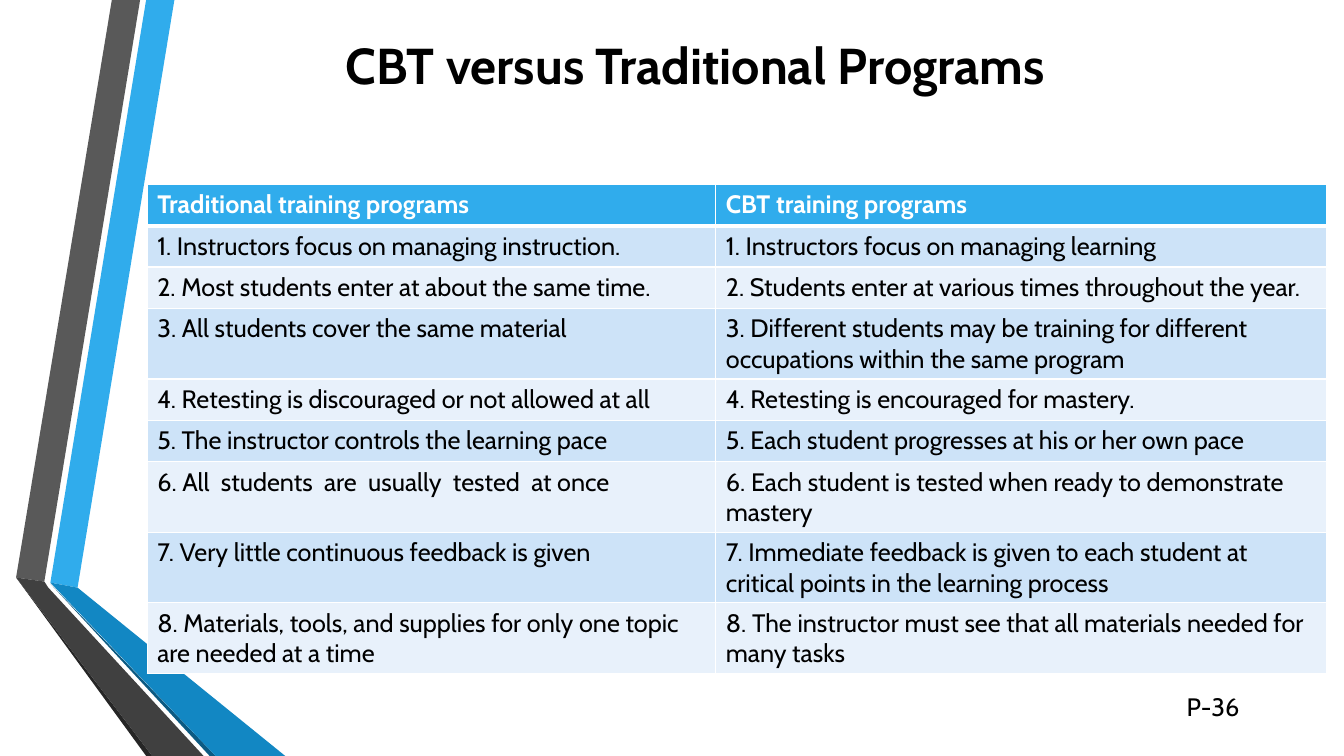
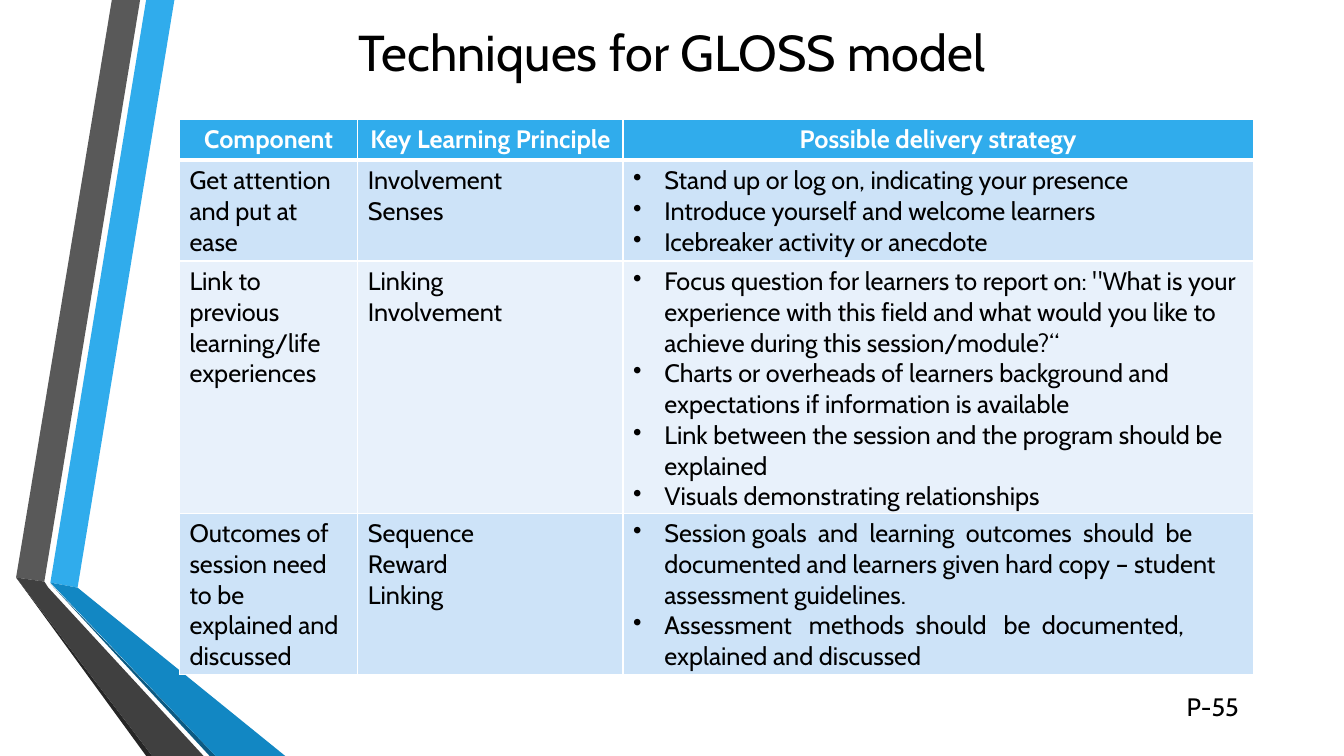
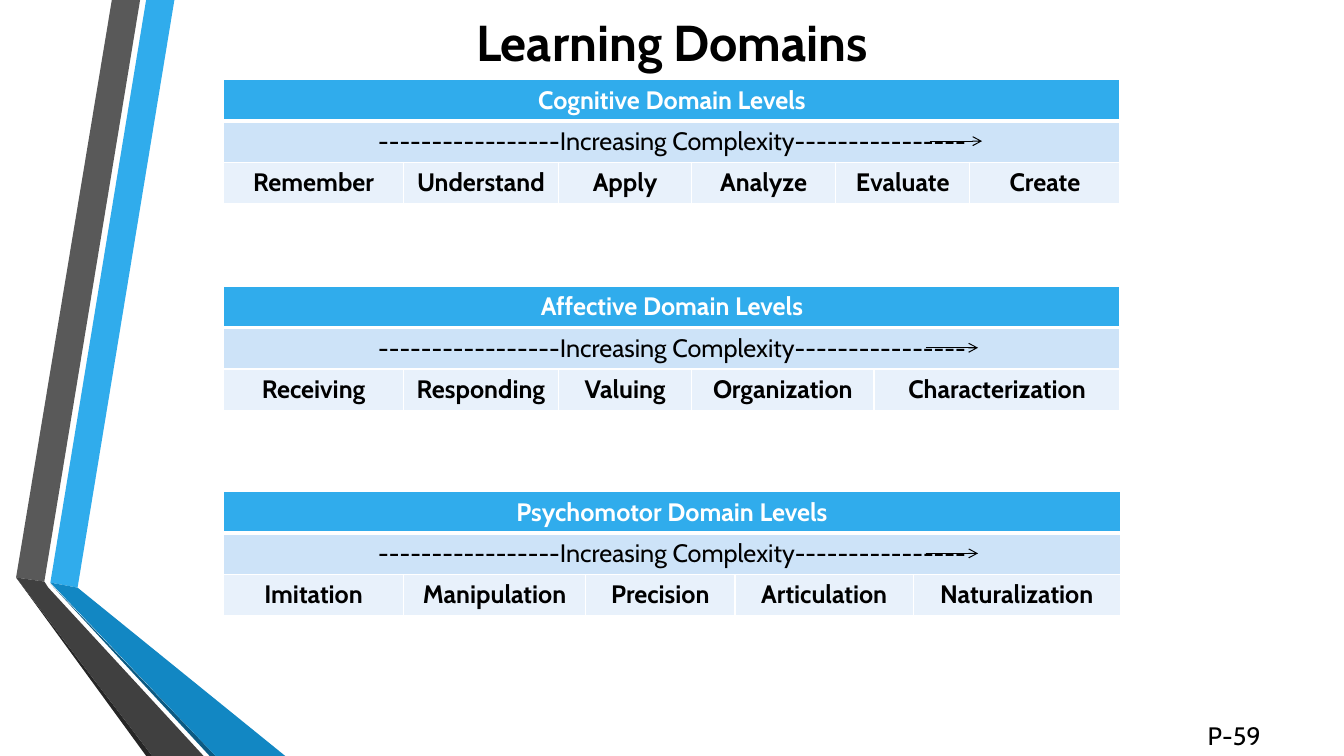
from dataclasses import dataclass

import lxml.etree
import pptx
import pptx.dml.color
import pptx.enum.shapes
import pptx.enum.text
import pptx.oxml.ns
import pptx.presentation
import pptx.shapes.base
import pptx.slide
import pptx.table
import pptx.text.text
import pptx.util

PX = 9144  # EMU in one px, 100 px to the inch
FONT = "Cabin"
ROW_HEIGHT = 41
BULLET_INDENT = 31
COLORS = {
    "black": "000000",
    "white": "FFFFFF",
    "blue": "30ACEC",
    "blue_dark": "1287C3",
    "blue_edge": "0C5A82",
    "grey": "595959",
    "grey_dark": "404040",
    "grey_edge": "262626",
    "row_odd": "CDE3F8",
    "row_even": "E8F1FB",
}
LEFT = pptx.enum.text.PP_ALIGN.LEFT
CENTER = pptx.enum.text.PP_ALIGN.CENTER


@dataclass(frozen=True)
class Band:
    color: str
    points: tuple[tuple[int, int], ...]


@dataclass(frozen=True)
class Page:
    title: str
    title_at: tuple[int, int]
    label: str
    label_at: tuple[int, int] = (1167, 681)
    bold: bool = True


@dataclass(frozen=True)
class Grid:
    """A row with one text spans all columns; a line break starts a paragraph."""

    left: int
    top: int
    widths: tuple[int, ...]
    rows: tuple[tuple[str, ...], ...]
    centered_rows: tuple[int, ...] = ()
    bold_rows: tuple[int, ...] = (0,)
    bullet_column: int | None = None


@dataclass(frozen=True)
class Domain:
    name: str
    top: int
    widths: tuple[int, ...]
    levels: tuple[str, ...]
    arrow_left: int = 918


BANDS = (
    Band("blue", ((50, 578), (77, 583), (173, 0), (145, 0))),
    Band("grey", ((139, 0), (111, 0), (16, 573), (44, 577))),
    Band("grey_edge", ((16, 573), (145, 750), (151, 750))),
    Band("blue_edge", ((50, 579), (208, 750), (214, 750))),
    Band("blue_dark", ((50, 578), (214, 750), (283, 750), (77, 583))),
    Band("grey_dark", ((16, 573), (151, 750), (202, 750), (48, 583), (44, 577))),
)

PROGRAMS = Grid(
    146, 183, (564, 606),
    (
        ("Traditional training programs", "CBT training programs"),
        ("1. Instructors focus on managing instruction.",
         "1. Instructors focus on managing learning"),
        ("2. Most students enter at about the same time.",
         "2. Students enter at various times throughout the year."),
        ("3. All students cover the same material",
         "3. Different students may be training for different occupations "
         "within the same program"),
        ("4. Retesting is discouraged or not allowed at all",
         "4. Retesting is encouraged for mastery."),
        ("5. The instructor controls the learning pace",
         "5. Each student progresses at his or her own pace"),
        ("6. All  students  are  usually  tested  at once",
         "6. Each student is tested when ready to demonstrate mastery"),
        ("7. Very little continuous feedback is given",
         "7. Immediate feedback is given to each student at critical points "
         "in the learning process"),
        ("8. Materials, tools, and supplies for only one topic are needed at a time",
         "8. The instructor must see that all materials needed for many tasks"),
    ),
)

GLOSS = Grid(
    178, 118, (177, 263, 625),
    (
        ("Component", "Key Learning Principle", "Possible delivery strategy"),
        ("Get attention and put at ease",
         "Involvement\nSenses",
         "Stand up or log on, indicating your presence\n"
         "Introduce yourself and welcome learners\n"
         "Icebreaker activity or anecdote"),
        ("Link to previous learning/life experiences",
         "Linking\nInvolvement",
         "Focus question for learners to report on: \"What is your experience with "
         "this field and what would you like to achieve during this session/module?“\n"
         "Charts or overheads of learners background and expectations "
         "if information is available\n"
         "Link between the session and the program should be explained\n"
         "Visuals demonstrating relationships"),
        ("Outcomes of session need to be explained and discussed",
         "Sequence\nReward\nLinking",
         "Session goals  and  learning  outcomes  should  be documented and "
         "learners given hard copy – student assessment guidelines.\n"
         "Assessment   methods  should   be  documented, explained and discussed"),
    ),
    centered_rows=(0,),
    bullet_column=2,
)

COMPLEXITY = "-" * 17 + "Increasing Complexity" + "-" * 16
DOMAINS = (
    Domain("Cognitive", 79, (178, 154, 132, 143, 133, 149),
           ("Remember", "Understand", "Apply", "Analyze", "Evaluate", "Create"), 922),
    Domain("Affective", 284, (178, 154, 132, 181, 244),
           ("Receiving", "Responding", "Valuing", "Organization", "Characterization")),
    Domain("Psychomotor", 488, (178, 181, 148, 177, 205),
           ("Imitation", "Manipulation", "Precision", "Articulation", "Naturalization")),
)


def px(length: int) -> pptx.util.Emu:
    return pptx.util.Emu(length * PX)


def rgb(color: str) -> pptx.dml.color.RGBColor:
    return pptx.dml.color.RGBColor.from_string(COLORS[color])


def add_xml(parent: lxml.etree.ElementBase, tag: str, **attributes: str) -> lxml.etree.ElementBase:
    return lxml.etree.SubElement(parent, pptx.oxml.ns.qn(tag), attributes)


def place(box: pptx.shapes.base.BaseShape, left: int, top: int, width: int, height: int) -> None:
    box.left, box.top, box.width, box.height = map(px, (left, top, width, height))


def write(paragraph: pptx.text.text._Paragraph, words: str, size: int = 18,
          color: str = "black", bold: bool = False) -> None:
    run = paragraph.add_run()
    run.text = words
    run.font.name = FONT
    run.font.size = pptx.util.Pt(size)
    run.font.bold = bold
    run.font.color.rgb = rgb(color)


def draw_bands(slide: pptx.slide.Slide, layout: pptx.slide.SlideLayout) -> None:
    """Draw the folded bands and move them to the layout that all slides share."""
    for number, band in enumerate(BANDS, start=100):
        outline = slide.shapes.build_freeform(*band.points[0], scale=PX)
        outline.add_line_segments(band.points[1:], close=True)
        stripe = outline.convert_to_shape()
        stripe.shadow.inherit = False
        stripe.fill.solid()
        stripe.fill.fore_color.rgb = rgb(band.color)
        stripe.line.fill.background()
        stripe.element.nvSpPr.cNvPr.set("id", str(number))
        layout.shapes.element.append(stripe.element)


def add_page(deck: pptx.presentation.Presentation, page: Page) -> pptx.slide.Slide:
    slide = deck.slides.add_slide(deck.slide_layouts[5])

    # Title
    title = slide.shapes.title
    place(title, *page.title_at, 1155, 61)
    heading = title.text_frame
    heading.auto_size = pptx.enum.text.MSO_AUTO_SIZE.NONE
    heading.vertical_anchor = pptx.enum.text.MSO_ANCHOR.MIDDLE
    heading.paragraphs[0].alignment = CENTER
    write(heading.paragraphs[0], page.title, size=36, bold=page.bold)

    # Page label
    label = slide.shapes.add_textbox(*map(px, (*page.label_at, 113, 40))).text_frame
    label.word_wrap = True
    write(label.paragraphs[0], page.label)
    return slide


def set_borders(cell: pptx.table._Cell, row: int) -> None:
    """White rules, with a heavier one under the header row."""
    properties = cell._tc.get_or_add_tcPr()
    weights = {"L": 1, "R": 1, "T": 3 if row == 1 else 1, "B": 3 if row == 0 else 1}
    for side, weight in weights.items():
        rule = add_xml(properties, f"a:ln{side}", w=str(pptx.util.Pt(weight)))
        add_xml(add_xml(rule, "a:solidFill"), "a:srgbClr", val=COLORS["white"])


def add_bullet(paragraph: pptx.text.text._Paragraph) -> None:
    properties = paragraph._p.get_or_add_pPr()
    properties.set("marL", str(px(BULLET_INDENT)))
    properties.set("indent", str(-px(BULLET_INDENT)))
    add_xml(properties, "a:buChar", char="•")


def fill_cell(cell: pptx.table._Cell, words: str, grid: Grid, row: int, column: int) -> None:
    for number, line in enumerate(words.split("\n")):
        frame = cell.text_frame
        paragraph = frame.add_paragraph() if number else frame.paragraphs[0]
        paragraph.alignment = CENTER if row in grid.centered_rows else LEFT
        if row and column == grid.bullet_column:
            add_bullet(paragraph)
        write(paragraph, line, color="black" if row else "white", bold=row in grid.bold_rows)


def add_grid(slide: pptx.slide.Slide, grid: Grid) -> None:
    size = (len(grid.rows), len(grid.widths))
    bounds = (grid.left, grid.top, sum(grid.widths), ROW_HEIGHT * size[0])
    table = slide.shapes.add_table(*size, *map(px, bounds)).table
    for column, width in enumerate(grid.widths):
        table.columns[column].width = px(width)
    for row, texts in enumerate(grid.rows):
        table.rows[row].height = px(ROW_HEIGHT)
        shade = "blue" if row == 0 else "row_odd" if row % 2 else "row_even"
        for column in range(size[1]):
            cell = table.cell(row, column)
            set_borders(cell, row)
            cell.fill.solid()
            cell.fill.fore_color.rgb = rgb(shade)
        if len(texts) == 1:
            table.cell(row, 0).merge(table.cell(row, size[1] - 1))
        for column, words in enumerate(texts):
            fill_cell(table.cell(row, column), words, grid, row, column)


def add_arrow(slide: pptx.slide.Slide, left: int, top: int, length: int) -> None:
    arrow = slide.shapes.add_connector(
        pptx.enum.shapes.MSO_CONNECTOR.STRAIGHT, px(left), px(top), px(left + length), px(top))
    arrow.line.color.rgb = rgb("black")
    arrow.line.width = pptx.util.Pt(0.75)
    add_xml(arrow.line._get_or_add_ln(), "a:tailEnd", type="arrow")
    add_xml(arrow.element.spPr, "a:effectLst")


def add_domain(slide: pptx.slide.Slide, domain: Domain) -> None:
    rows = ((f"{domain.name} Domain Levels",), (COMPLEXITY,), domain.levels)
    add_grid(slide, Grid(222, domain.top, domain.widths, rows,
                         centered_rows=(0, 1, 2), bold_rows=(0, 2)))
    add_arrow(slide, domain.arrow_left, domain.top + 61, 52)


def main() -> None:
    deck = pptx.Presentation()
    deck.slide_width, deck.slide_height = px(1333), px(750)

    # Training programs
    programs = add_page(deck, Page("CBT versus Traditional Programs", (112, 33), "P-36"))
    draw_bands(programs, programs.slide_layout)
    add_grid(programs, PROGRAMS)

    # Delivery techniques
    techniques = add_page(
        deck, Page("Techniques for GLOSS model", (89, 20), "P-55", bold=False))
    add_grid(techniques, GLOSS)

    # Learning domains
    domains = add_page(deck, Page("Learning Domains", (89, 11), "P-59", (1188, 710)))
    for domain in DOMAINS:
        add_domain(domains, domain)

    deck.save("out.pptx")


if __name__ == "__main__":
    main()
